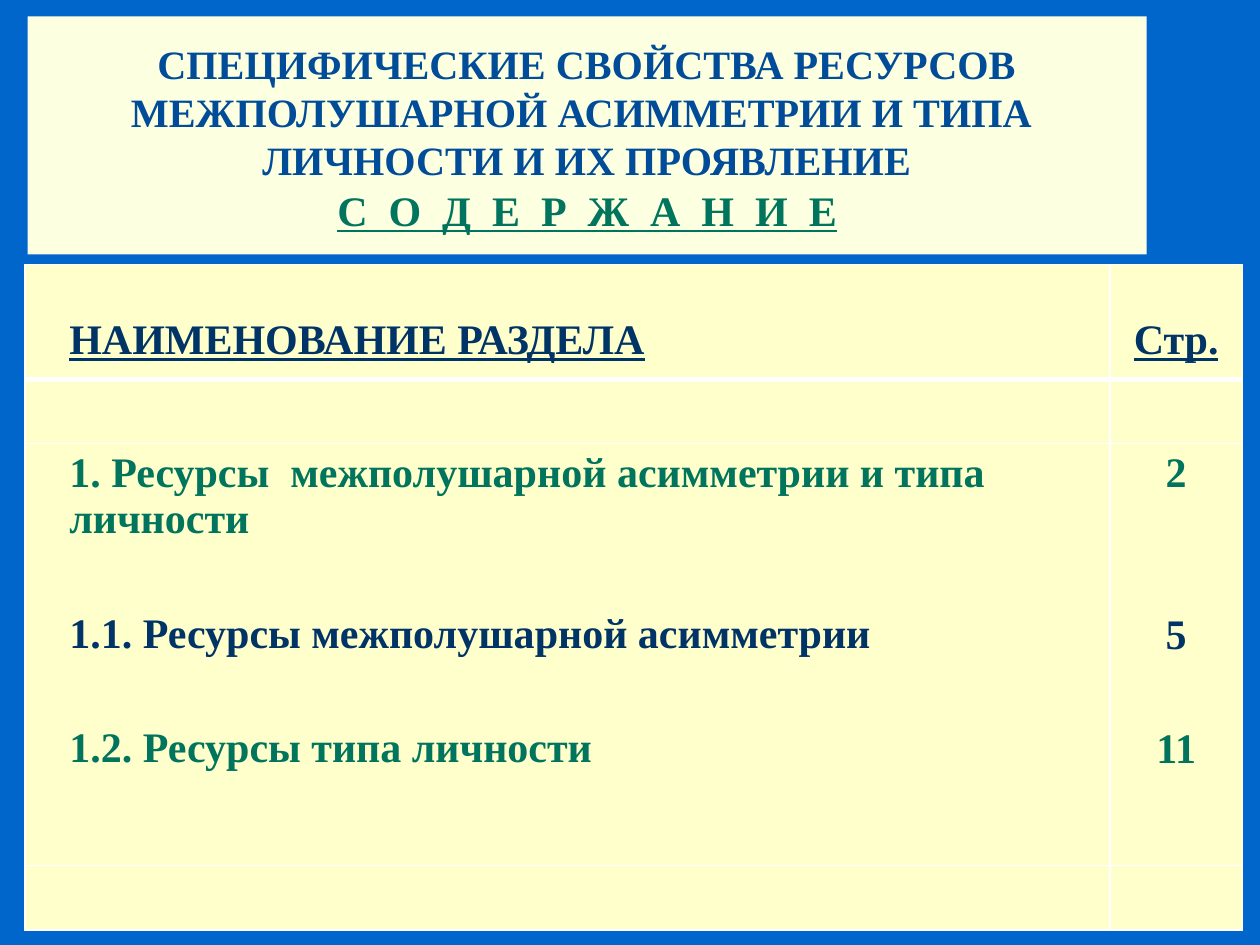
from dataclasses import dataclass

from pptx import Presentation
from pptx.dml.color import RGBColor
from pptx.enum.shapes import MSO_SHAPE
from pptx.enum.text import MSO_ANCHOR, PP_ALIGN
from pptx.oxml import parse_xml
from pptx.oxml.ns import nsdecls
from pptx.util import Inches, Pt

COLORS = {
    "background": "0066CC",
    "title_fill": "FDFFE1",
    "title": "004C99",
    "green": "00745C",
    "navy": "003366",
    "cell": "FFFFCC",
    "border": "FFFFFF",
}
FONT = "Times New Roman"
COLUMN_WIDTHS = (8.61, 1.05)
ROW_HEIGHTS = (0.91, 0.51, 3.35, 0.51)
HEADER_ROW, CONTENTS_ROW = 0, 2
SECTION_INDENT = 0.35


@dataclass(frozen=True)
class Entry:
    text: str
    color: str
    space_before: float = 0
    underline: bool = False


HEADER = (
    [Entry("НАИМЕНОВАНИЕ РАЗДЕЛА\t", "navy", underline=True)],
    [Entry("Стр.", "navy", underline=True)],
)
CONTENTS = (
    [
        Entry("1. Ресурсы  межполушарной асимметрии и типа личности", "green"),
        Entry("1.1. Ресурсы межполушарной асимметрии", "navy", 39),
        Entry("1.2. Ресурсы типа личности", "green", 39),
    ],
    [
        Entry("2", "green"),
        Entry("5", "navy", 66),
        Entry("11", "green", 39),
    ],
)


def color(name: str) -> RGBColor:
    return RGBColor.from_string(COLORS[name])


def add_text(paragraph, text: str, size: float, color_name: str, underline: bool = False) -> None:
    run = paragraph.add_run()
    run.text = text
    font = run.font
    font.name, font.size, font.bold = FONT, Pt(size), True
    font.color.rgb = color(color_name)
    if underline:
        font.underline = True


def set_borders(cell, bottom: float, top: float) -> None:
    properties = cell._tc.get_or_add_tcPr()
    widths = {"lnL": 1, "lnR": 1, "lnT": top, "lnB": bottom}
    for position, (tag, width) in enumerate(widths.items()):
        properties.insert(position, parse_xml(
            f'<a:{tag} {nsdecls("a")} w="{Pt(width)}"><a:solidFill>'
            f'<a:srgbClr val="{COLORS["border"]}"/></a:solidFill></a:{tag}>'))


def fill_cell(cell, entries: list[Entry], alignment: PP_ALIGN) -> None:
    frame = cell.text_frame
    for index, entry in enumerate(entries):
        paragraph = frame.add_paragraph() if index else frame.paragraphs[0]
        paragraph.alignment = alignment
        paragraph.space_before = Pt(entry.space_before)
        add_text(paragraph, entry.text, 24, entry.color, entry.underline)


def add_title(slide) -> None:
    shape = slide.shapes.add_shape(
        MSO_SHAPE.RECTANGLE, Inches(0.22), Inches(0.13), Inches(8.88), Inches(1.89))
    shape.shadow.inherit = False
    shape.fill.solid()
    shape.fill.fore_color.rgb = color("title_fill")
    shape.line.fill.background()
    frame = shape.text_frame
    frame.word_wrap = True
    frame.vertical_anchor = MSO_ANCHOR.BOTTOM
    frame.margin_bottom = Inches(0.16)
    paragraph = frame.paragraphs[0]
    paragraph.alignment = PP_ALIGN.CENTER
    for line in ("СПЕЦИФИЧЕСКИЕ СВОЙСТВА РЕСУРСОВ МЕЖПОЛУШАРНОЙ АСИММЕТРИИ И ТИПА ",
                 "ЛИЧНОСТИ И ИХ ПРОЯВЛЕНИЕ"):
        add_text(paragraph, line, 23, "title")
        paragraph.add_line_break()
    add_text(paragraph, "С  О  Д  Е  Р  Ж  А  Н  И  Е", 24, "green", underline=True)


def add_contents_table(slide) -> None:
    table = slide.shapes.add_table(
        len(ROW_HEIGHTS), len(COLUMN_WIDTHS), Inches(0.2), Inches(2.1),
        Inches(sum(COLUMN_WIDTHS)), Inches(sum(ROW_HEIGHTS))).table
    for column, width in zip(table.columns, COLUMN_WIDTHS):
        column.width = Inches(width)
    for row_index, (row, height) in enumerate(zip(table.rows, ROW_HEIGHTS)):
        row.height = Inches(height)
        for cell in row.cells:
            cell.fill.solid()
            cell.fill.fore_color.rgb = color("cell")
            set_borders(cell, bottom=3 if row_index == HEADER_ROW else 1,
                        top=3 if row_index == HEADER_ROW + 1 else 1)
    for row_index, columns in ((HEADER_ROW, HEADER), (CONTENTS_ROW, CONTENTS)):
        sections, pages = table.rows[row_index].cells
        sections.margin_left = Inches(SECTION_INDENT)
        fill_cell(sections, columns[0], PP_ALIGN.LEFT)
        fill_cell(pages, columns[1], PP_ALIGN.CENTER)
    for cell in table.rows[HEADER_ROW].cells:
        cell.margin_top = Inches(0.42)


def main() -> None:
    presentation = Presentation()
    presentation.slide_width, presentation.slide_height = Inches(10), Inches(7.5)
    slide = presentation.slides.add_slide(presentation.slide_layouts[6])
    slide.background.fill.solid()
    slide.background.fill.fore_color.rgb = color("background")
    add_title(slide)
    add_contents_table(slide)
    presentation.save("out.pptx")


if __name__ == "__main__":
    main()
